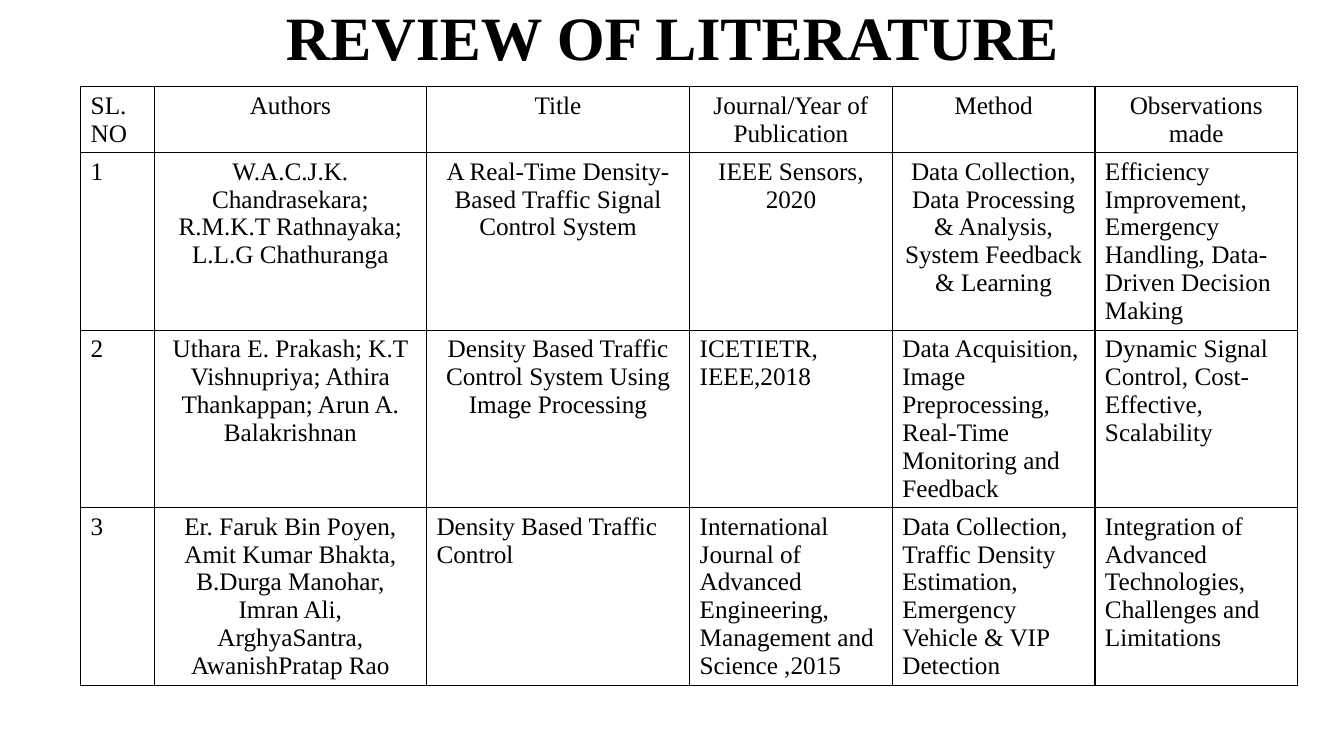
from dataclasses import dataclass

from lxml import etree
from pptx import Presentation
from pptx.dml import color
from pptx.enum import text
from pptx.oxml import ns
from pptx import util as u

FONT = "Times New Roman"
BLACK = "000000"
WHITE = "FFFFFF"
WIDTHS = [0.73, 2.7, 2.61, 2.01, 2.01, 2.01]
HEIGHTS = [0.65, 1.76, 1.76, 1.76]
LEFT, TOP = 0.8, 0.86


@dataclass
class Entry:
    words: str
    mid: bool = False


ROWS = [
    [
        Entry("SL.NO"),
        Entry("Authors", True),
        Entry("Title", True),
        Entry("Journal/Year of Publication", True),
        Entry("Method", True),
        Entry("Observations made", True),
    ],
    [
        Entry("1"),
        Entry("W.A.C.J.K. Chandrasekara; R.M.K.T Rathnayaka; L.L.G Chathuranga", True),
        Entry("A Real-Time Density-Based Traffic Signal Control System", True),
        Entry("IEEE Sensors, 2020", True),
        Entry("Data Collection, Data Processing & Analysis, System Feedback & Learning", True),
        Entry("Efficiency Improvement, Emergency Handling, Data-Driven Decision Making"),
    ],
    [
        Entry("2"),
        Entry("Uthara E. Prakash; K.T Vishnupriya; Athira Thankappan; Arun A. Balakrishnan", True),
        Entry("Density Based Traffic Control System Using Image Processing", True),
        Entry("ICETIETR, IEEE,2018"),
        Entry("Data Acquisition, Image Preprocessing, Real-Time Monitoring and Feedback"),
        Entry("Dynamic Signal Control, Cost-Effective, Scalability"),
    ],
    [
        Entry("3"),
        Entry(
            "Er. Faruk Bin Poyen, Amit Kumar Bhakta, B.Durga Manohar, "
            "Imran Ali, ArghyaSantra, AwanishPratap Rao",
            True,
        ),
        Entry("Density Based Traffic Control"),
        Entry("International Journal of Advanced Engineering, Management and Science ,2015"),
        Entry("Data Collection, Traffic Density Estimation, Emergency Vehicle & VIP Detection"),
        Entry("Integration of Advanced Technologies, Challenges and Limitations"),
    ],
]


def paint(target, tone: str) -> None:
    target.rgb = color.RGBColor.from_string(tone)


def write(para, words: str, size: int, mid: bool, bold: bool = False) -> None:
    para.alignment = text.PP_ALIGN.CENTER if mid else text.PP_ALIGN.LEFT
    run = para.add_run()
    run.text = words
    run.font.name = FONT
    run.font.size = u.Pt(size)
    run.font.bold = bold
    paint(run.font.color, BLACK)


def frame(cell) -> None:
    props = cell._tc.get_or_add_tcPr()
    for side in ("a:lnL", "a:lnR", "a:lnT", "a:lnB"):
        line = etree.SubElement(props, ns.qn(side), w=str(u.Pt(1)))
        fill = etree.SubElement(line, ns.qn("a:solidFill"))
        etree.SubElement(fill, ns.qn("a:srgbClr"), val=BLACK)


def draw_title(slide) -> None:
    title = slide.shapes.title
    title.left, title.top = u.Inches(1.67), u.Inches(-0.13)
    title.width, title.height = u.Inches(10), u.Inches(0.91)
    body = title.text_frame
    body.word_wrap = True
    body.auto_size = text.MSO_AUTO_SIZE.NONE
    body.vertical_anchor = text.MSO_ANCHOR.BOTTOM
    para = body.paragraphs[0]
    para.line_spacing = 0.9
    write(para, "REVIEW OF LITERATURE", 44, True, True)


def draw_table(slide, rows: list[list[Entry]]) -> None:
    table = slide.shapes.add_table(
        len(rows), len(WIDTHS), u.Inches(LEFT), u.Inches(TOP),
        u.Inches(sum(WIDTHS)), u.Inches(sum(HEIGHTS)),
    ).table
    table.first_row = False
    table.horz_banding = False
    for col, width in zip(table.columns, WIDTHS):
        col.width = u.Inches(width)
    for row, height, items in zip(table.rows, HEIGHTS, rows):
        row.height = u.Inches(height)
        for cell, item in zip(row.cells, items):
            frame(cell)
            cell.fill.solid()
            paint(cell.fill.fore_color, WHITE)
            write(cell.text_frame.paragraphs[0], item.words, 18, item.mid)


def main() -> None:
    deck = Presentation()
    deck.slide_width, deck.slide_height = u.Inches(13.33), u.Inches(7.5)
    slide = deck.slides.add_slide(deck.slide_layouts[0])
    spare = slide.placeholders[1].element
    spare.getparent().remove(spare)
    draw_title(slide)
    draw_table(slide, ROWS)
    deck.save("out.pptx")


if __name__ == "__main__":
    main()
